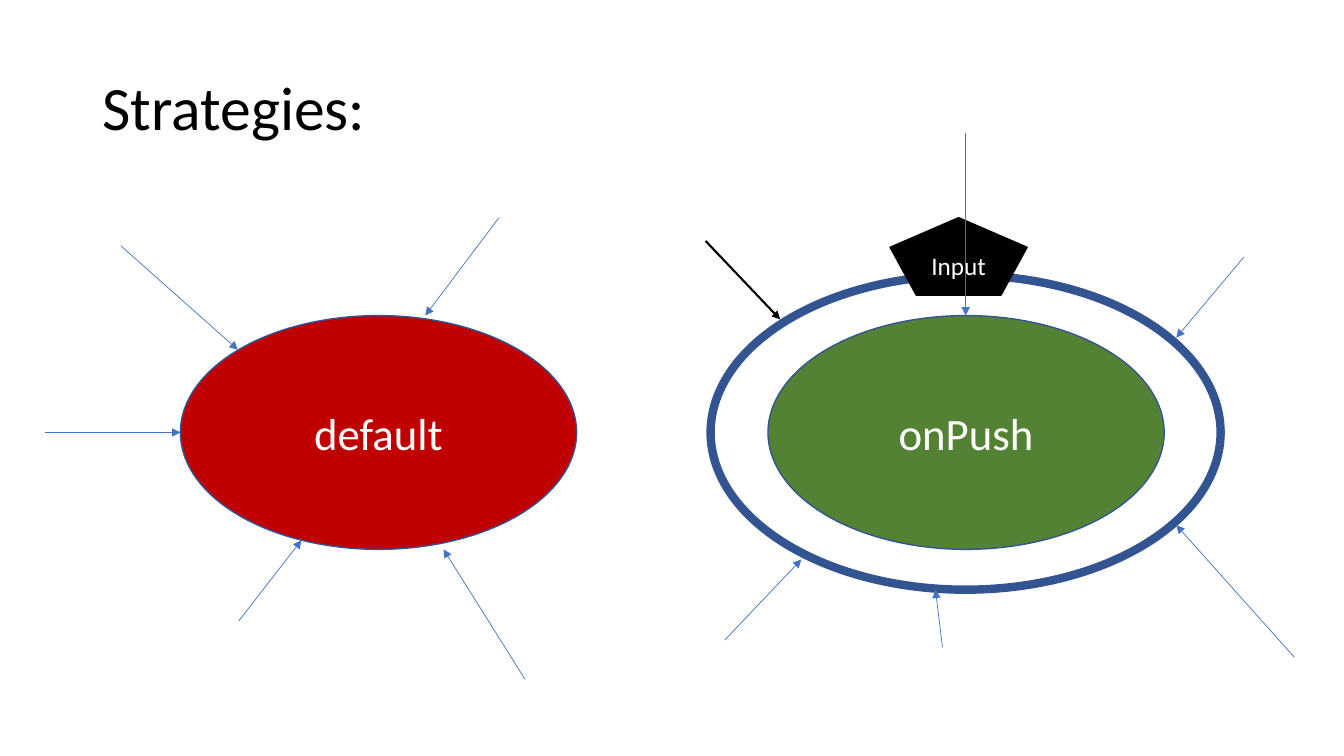
"""Build the slide that compares the default and onPush strategies."""
from dataclasses import dataclass
from typing import Optional

import lxml.etree
import pptx
import pptx.dml.color
import pptx.enum.shapes
import pptx.enum.text
import pptx.oxml.ns
import pptx.util

FONT = "Calibri"
COLORS = {
    "black": "000000",
    "white": "FFFFFF",
    "red": "C00000",
    "green": "548235",
    "outline": "325491",
    "arrow": "4472C4",
}
OVAL = pptx.enum.shapes.MSO_SHAPE.OVAL
PENTAGON = pptx.enum.shapes.MSO_SHAPE.REGULAR_PENTAGON
CENTER_Y = 308.9
OVAL_WIDTH, OVAL_HEIGHT = 283, 167
OVAL_TOP = CENTER_Y - OVAL_HEIGHT / 2


@dataclass(frozen=True)
class Node:
    kind: pptx.enum.shapes.MSO_SHAPE
    left: float
    top: float
    width: float
    height: float
    fill: Optional[str]
    line: str = "outline"
    line_width: float = 1
    label: str = ""
    size: float = 32


@dataclass(frozen=True)
class Arrow:
    start_x: float
    start_y: float
    end_x: float
    end_y: float
    color: str = "arrow"
    width: float = 0.5


NODES = [
    Node(OVAL, 128.9, OVAL_TOP, OVAL_WIDTH, OVAL_HEIGHT, "red", label="default"),
    Node(OVAL, 548.6, OVAL_TOP, OVAL_WIDTH, OVAL_HEIGHT, "green", label="onPush"),
    Node(OVAL, 507.6, 196.6, 364.3, 224.6, None, line_width=6),
    Node(PENTAGON, 635.8, 155.5, 97.9, 55.4, "black", "black", label="Input", size=18),
]

DEFAULT_ARROWS = [
    Arrow(86.4, 175.7, 169.9, 249.8),
    Arrow(170.6, 443.5, 215.3, 385.9),
    Arrow(375.1, 485.3, 316.8, 392.4),
    Arrow(356.4, 155.5, 303.8, 225.4),
    Arrow(32.4, CENTER_Y, 128.9, CENTER_Y),
]

ON_PUSH_ARROWS = [
    Arrow(689.8, 95, 689.8, 225.4),
    Arrow(504, 172.1, 557.3, 228.2, "black", 1.5),
    Arrow(517.7, 457.2, 572.4, 399.6),
    Arrow(673.2, 462.2, 668.2, 421.2),
    Arrow(888.5, 183.6, 840.2, 241.2),
    Arrow(924.5, 469.4, 840.2, 375.1),
]


def rgb(name: str) -> pptx.dml.color.RGBColor:
    return pptx.dml.color.RGBColor.from_string(COLORS[name])


def add_text(shape, text: str, size: float, color: str, alignment):
    frame = shape.text_frame
    frame.word_wrap = True
    frame.vertical_anchor = pptx.enum.text.MSO_ANCHOR.MIDDLE
    paragraph = frame.paragraphs[0]
    paragraph.alignment = alignment
    run = paragraph.add_run()
    run.text = text
    run.font.name = FONT
    run.font.size = pptx.util.Pt(size)
    run.font.color.rgb = rgb(color)
    return paragraph


def add_title(slide, text: str) -> None:
    title = slide.shapes.title
    title.left, title.top = pptx.util.Pt(66), pptx.util.Pt(27)
    title.width, title.height = pptx.util.Pt(828), pptx.util.Pt(104.4)
    paragraph = add_text(title, text, 44, "black", pptx.enum.text.PP_ALIGN.LEFT)
    paragraph.line_spacing = 0.9


def add_node(slide, node: Node) -> None:
    box = (pptx.util.Pt(v) for v in (node.left, node.top, node.width, node.height))
    shape = slide.shapes.add_shape(node.kind, *box)
    shape.shadow.inherit = False
    if node.fill:
        shape.fill.solid()
        shape.fill.fore_color.rgb = rgb(node.fill)
    else:
        shape.fill.background()
    shape.line.color.rgb = rgb(node.line)
    shape.line.width = pptx.util.Pt(node.line_width)
    if node.label:
        add_text(shape, node.label, node.size, "white", pptx.enum.text.PP_ALIGN.CENTER)


def add_arrow(slide, arrow: Arrow) -> None:
    ends = (arrow.start_x, arrow.start_y, arrow.end_x, arrow.end_y)
    connector = slide.shapes.add_connector(
        pptx.enum.shapes.MSO_CONNECTOR.STRAIGHT, *(pptx.util.Pt(v) for v in ends)
    )
    connector.line.color.rgb = rgb(arrow.color)
    connector.line.width = pptx.util.Pt(arrow.width)
    qn = pptx.oxml.ns.qn
    properties = connector.element.spPr
    line = properties.find(qn("a:ln"))
    lxml.etree.SubElement(line, qn("a:tailEnd"), type="triangle")
    lxml.etree.SubElement(properties, qn("a:effectLst"))


def main() -> None:
    presentation = pptx.Presentation()
    presentation.slide_width = pptx.util.Pt(960)
    presentation.slide_height = pptx.util.Pt(540)
    slide = presentation.slides.add_slide(presentation.slide_layouts[5])
    add_title(slide, "Strategies:")
    for node in NODES:
        add_node(slide, node)
    for arrow in DEFAULT_ARROWS + ON_PUSH_ARROWS:
        add_arrow(slide, arrow)
    presentation.save("out.pptx")


if __name__ == "__main__":
    main()
